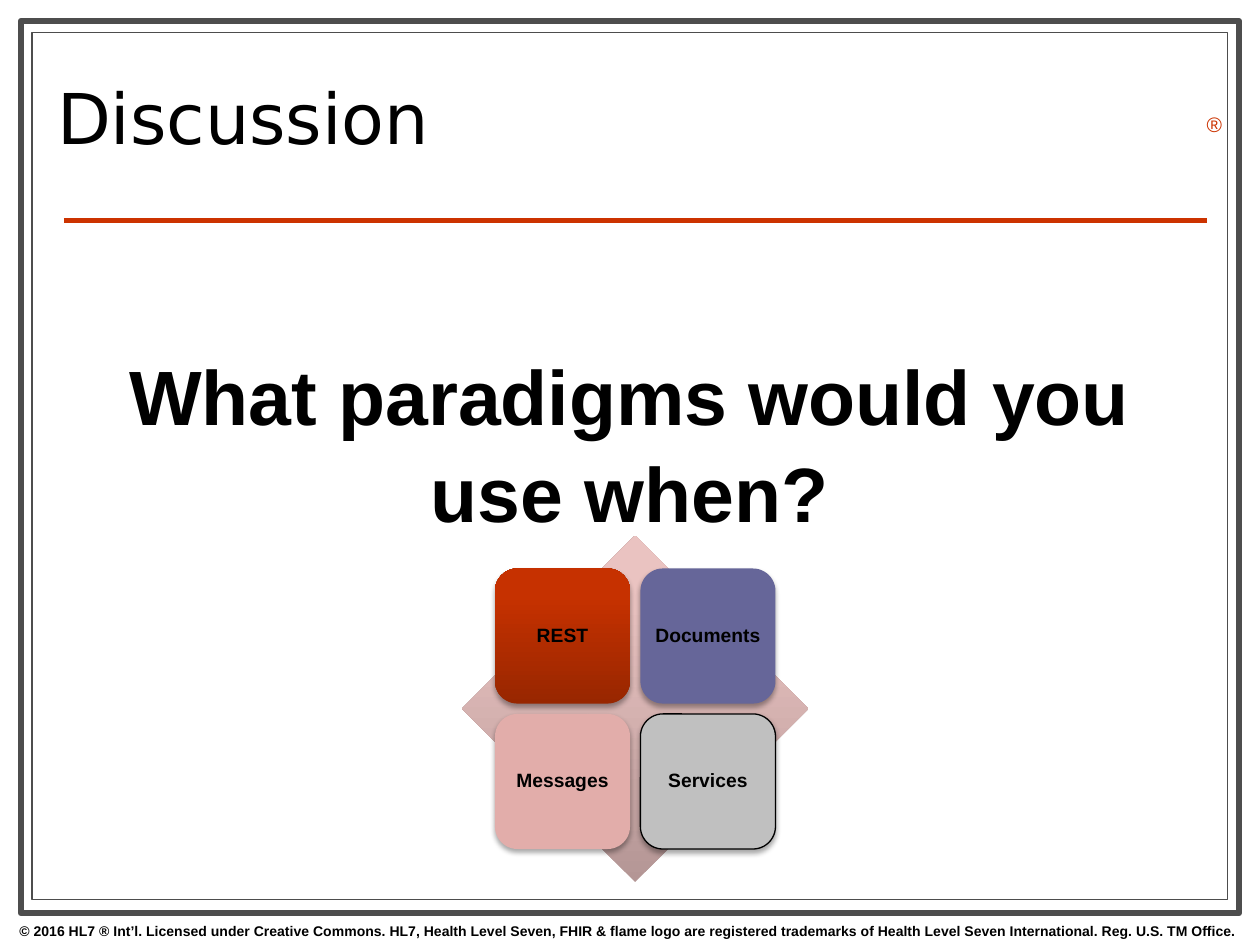
from typing import NamedTuple, Optional

from lxml.etree import SubElement
from pptx import Presentation
from pptx.dml.color import RGBColor
from pptx.enum.shapes import MSO_CONNECTOR, MSO_SHAPE as Preset
from pptx.enum.text import MSO_ANCHOR as Anchor, PP_ALIGN as Align
from pptx.oxml.ns import qn
from pptx.util import Pt

BLACK, WHITE, FRAME_GREY, ACCENT = "000000", "FFFFFF", "4D4D4D", "CC3300"


class Box(NamedTuple):
    left: float
    top: float
    width: float
    height: float


class Style(NamedTuple):
    size: float
    bold: bool = False
    color: str = BLACK
    font: str = "Arial"
    align: Align = Align.LEFT
    spacing: float = 1.0


class Paradigm(NamedTuple):
    label: str
    colors: tuple[str, ...]  # one colour, or bottom to top of a gradient
    outline: Optional[str] = None


PARADIGMS = [
    Paradigm("REST", ("982600", "C63100", "C73200")),
    Paradigm("Documents", ("666699",)),
    Paradigm("Messages", ("E2ADAA",)),
    Paradigm("Services", ("C0C0C0",), BLACK),
]


def rgb(color: str) -> RGBColor:
    return RGBColor.from_string(color)


def paint(shape, colors: tuple[str, ...]) -> None:
    """Fill with one colour, or with three running from bottom to top."""
    if len(colors) == 1:
        shape.fill.solid()
        shape.fill.fore_color.rgb = rgb(colors[0])
        return
    shape.fill.gradient()
    shape.fill.gradient_angle = 90
    stops = shape._element.spPr.find(qn("a:gradFill")).find(qn("a:gsLst"))
    for stop in list(stops):
        stops.remove(stop)
    for position, color in zip((0, 80, 100), colors):
        stop = SubElement(stops, qn("a:gs"), pos=str(position * 1000))
        SubElement(stop, qn("a:srgbClr"), val=color)


def add_block(slide, preset: Preset, box: Box, colors: tuple[str, ...],
              outline: Optional[str] = None, weight: float = 0.75):
    shape = slide.shapes.add_shape(preset, *map(Pt, box))
    shape.shadow.inherit = False
    paint(shape, colors)
    if outline:
        shape.line.color.rgb = rgb(outline)
        shape.line.width = Pt(weight)
    else:
        shape.line.fill.background()
    return shape


def add_soft_shadow(shape) -> None:
    effects = shape._element.spPr.find(qn("a:effectLst"))
    shadow = SubElement(effects, qn("a:outerShdw"), blurRad=str(Pt(3.1)),
                        dist=str(Pt(1.8)), dir="5400000", rotWithShape="0")
    color = SubElement(shadow, qn("a:srgbClr"), val=BLACK)
    SubElement(color, qn("a:alpha"), val="35000")


def write(frame, text: str, style: Style) -> None:
    paragraph = frame.paragraphs[0]
    paragraph.alignment = style.align
    paragraph.line_spacing = style.spacing
    run = paragraph.add_run()
    run.text = text
    run.font.name = style.font
    run.font.size = Pt(style.size)
    run.font.bold = style.bold
    run.font.color.rgb = rgb(style.color)


def add_text(slide, box: Box, text: str, style: Style,
             anchor: Anchor = Anchor.TOP, wrap: bool = True):
    frame = slide.shapes.add_textbox(*map(Pt, box)).text_frame
    frame.word_wrap = wrap
    frame.vertical_anchor = anchor
    write(frame, text, style)
    return frame


def add_rule(slide, left: float, right: float, y: float) -> None:
    rule = slide.shapes.add_connector(
        MSO_CONNECTOR.STRAIGHT, Pt(left), Pt(y), Pt(right), Pt(y))
    rule.line.color.rgb = rgb(ACCENT)
    rule.line.width = Pt(3)
    SubElement(rule._element.spPr, qn("a:effectLst"))


def add_matrix(slide, left: float, top: float) -> None:
    """Four paradigm tiles, two by two, over a diamond."""
    side, tile, step, margin = 198, 77.2, 83.1, 18.85
    add_block(slide, Preset.DIAMOND, Box(left, top, side, side),
              ("B49695", "EAC3C1", "ECC3C1"))
    label_style = Style(11, bold=True, align=Align.CENTER, spacing=0.9)
    for index, paradigm in enumerate(PARADIGMS):
        row, column = divmod(index, 2)
        place = Box(left + margin + column * step, top + margin + row * step,
                    tile, tile)
        card = add_block(slide, Preset.ROUNDED_RECTANGLE, place,
                         paradigm.colors, paradigm.outline)
        add_soft_shadow(card)
        frame = card.text_frame
        frame.word_wrap = True
        frame.vertical_anchor = Anchor.MIDDLE
        frame.margin_left = frame.margin_right = Pt(3.6)
        write(frame, paradigm.label, label_style)


def main() -> None:
    deck = Presentation()
    deck.slide_width, deck.slide_height = Pt(720), Pt(540)
    slide = deck.slides.add_slide(deck.slide_layouts[6])

    # Double frame and rule under the title
    add_block(slide, Preset.RECTANGLE, Box(12, 12, 696, 510), (WHITE,),
              FRAME_GREY, 3.5)
    add_block(slide, Preset.RECTANGLE, Box(18.25, 18.5, 683.25, 495.5),
              (WHITE,), FRAME_GREY)
    add_rule(slide, 36.5, 690, 126)

    # Copyright line and registered mark
    add_text(slide, Box(-0.75, 523.5, 720, 16.5),
             "© 2016 HL7 ® Int’l. Licensed under Creative Commons. HL7, "
             "Health Level Seven, FHIR & flame logo are registered trademarks "
             "of Health Level Seven International. Reg. U.S. TM Office.",
             Style(8, bold=True, align=Align.CENTER))
    add_text(slide, Box(682.5, 60, 22.5, 21.5), "®", Style(12, color=ACCENT),
             wrap=False)

    # Title and question
    add_text(slide, Box(25.5, 26, 516, 90.5), "Discussion",
             Style(40, font="DejaVu Sans", spacing=0.8), Anchor.MIDDLE)
    question = add_text(slide, Box(30, 144, 660, 364),
                        "What paradigms would you use when?",
                        Style(44, bold=True, align=Align.CENTER, spacing=1.05))
    question.margin_top = Pt(52.5)

    add_matrix(slide, 264, 306)
    deck.save("out.pptx")


if __name__ == "__main__":
    main()
